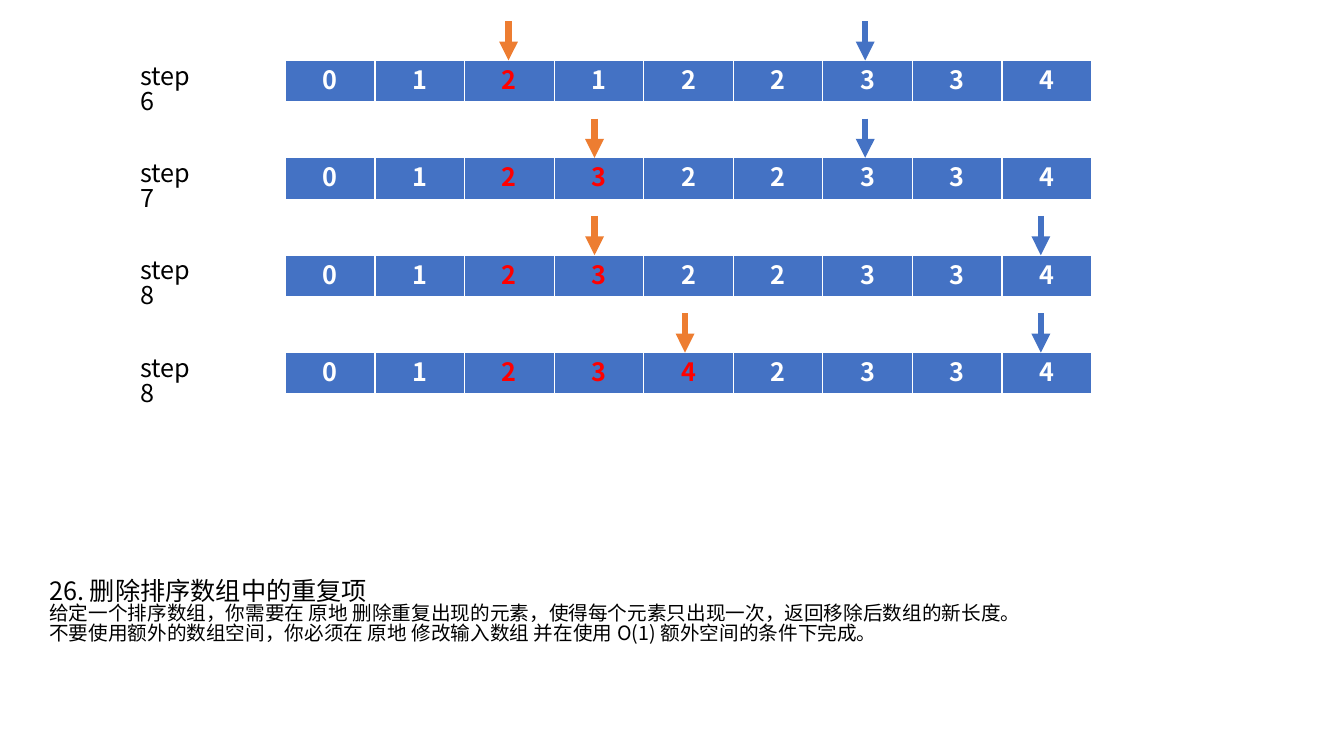
"""Draw the last steps of removing duplicates from a sorted array."""
from dataclasses import dataclass

from lxml.etree import SubElement
from pptx import Presentation
from pptx.dml.color import RGBColor
from pptx.enum.shapes import MSO_CONNECTOR
from pptx.enum.text import PP_ALIGN
from pptx.oxml.ns import qn
from pptx.util import Inches, Pt

LEFT, CENTER = PP_ALIGN.LEFT, PP_ALIGN.CENTER
LINE = MSO_CONNECTOR.STRAIGHT


@dataclass(frozen=True)
class Theme:
    font: str = "Noto Sans CJK SC"
    blue: RGBColor = RGBColor(0x44, 0x72, 0xC4)
    orange: RGBColor = RGBColor(0xED, 0x7D, 0x31)
    red: RGBColor = RGBColor(0xFF, 0, 0)
    white: RGBColor = RGBColor(0xFF, 0xFF, 0xFF)
    black: RGBColor = RGBColor(0, 0, 0)
    large: Pt = Pt(18)
    small: Pt = Pt(14)
    stroke: Pt = Pt(4.5)
    pitch: float = 0.82


theme = Theme()


def write(para, text, size, color, bold=False, align=LEFT):
    para.text = text
    para.alignment = align
    para.line_spacing = theme.pitch
    font = para.font
    font.size, font.bold, font.name = size, bold, theme.font
    font.color.rgb = color
    SubElement(para._p.pPr.find(qn("a:defRPr")), qn("a:ea"), typeface=theme.font)


def arrow(x, foot, color):
    line = slide.shapes.add_connector(LINE, x, foot - drop, x, foot)
    line.line.color.rgb = color
    line.line.width = theme.stroke
    SubElement(line.line._get_or_add_ln(), qn("a:tailEnd"), type="triangle")
    SubElement(line._element.spPr, qn("a:effectLst"))


deck = Presentation()
deck.slide_width, deck.slide_height = Inches(13.33), Inches(7.5)
slide = deck.slides.add_slide(deck.slide_layouts[6])

left, top = Inches(2.83), Inches(0.6)
wide, high = Inches(8), Inches(0.41)
col, row = wide // 9, Inches(0.966)
drop = Inches(0.39)

steps = [
    ("step6", "012122334", 2, 2.49, 6.47),
    ("step7", "012322334", 3, 3.45, 6.47),
    ("step8", "012322334", 3, 3.45, 8.43),
    ("step8", "012342334", 4, 4.46, 8.43),
]

for i, (name, nums, last, slow, fast) in enumerate(steps):
    y = top + i * row
    grid = slide.shapes.add_table(1, len(nums), left, y, wide, high).table
    for j, num in enumerate(nums):
        cell = grid.cell(0, j)
        cell.fill.solid()
        cell.fill.fore_color.rgb = theme.blue
        color = theme.red if 2 <= j <= last else theme.white
        write(cell.text_frame.paragraphs[0], num, theme.large, color, True, CENTER)
    arrow(left + int(fast * col), y, theme.blue)
    arrow(left + int(slow * col), y, theme.orange)
    label = slide.shapes.add_textbox(Inches(1.29), y, Inches(0.79), Inches(0.4))
    label.text_frame.word_wrap = True
    write(label.text_frame.paragraphs[0], name, theme.large, theme.black)

notes = [
    ("26. 删除排序数组中的重复项", theme.large),
    ("给定一个排序数组，你需要在 原地 删除重复出现的元素，"
     "使得每个元素只出现一次，返回移除后数组的新长度。", theme.small),
    ("不要使用额外的数组空间，你必须在 原地 修改输入数组 "
     "并在使用 O(1) 额外空间的条件下完成。", theme.small),
]
task = slide.shapes.add_textbox(Inches(0.39), Inches(5.71), Inches(9.93), Inches(0.88))
frame = task.text_frame
frame.word_wrap = True
for i, (text, size) in enumerate(notes):
    para = frame.add_paragraph() if i else frame.paragraphs[0]
    write(para, text, size, theme.black)

deck.save("out.pptx")
